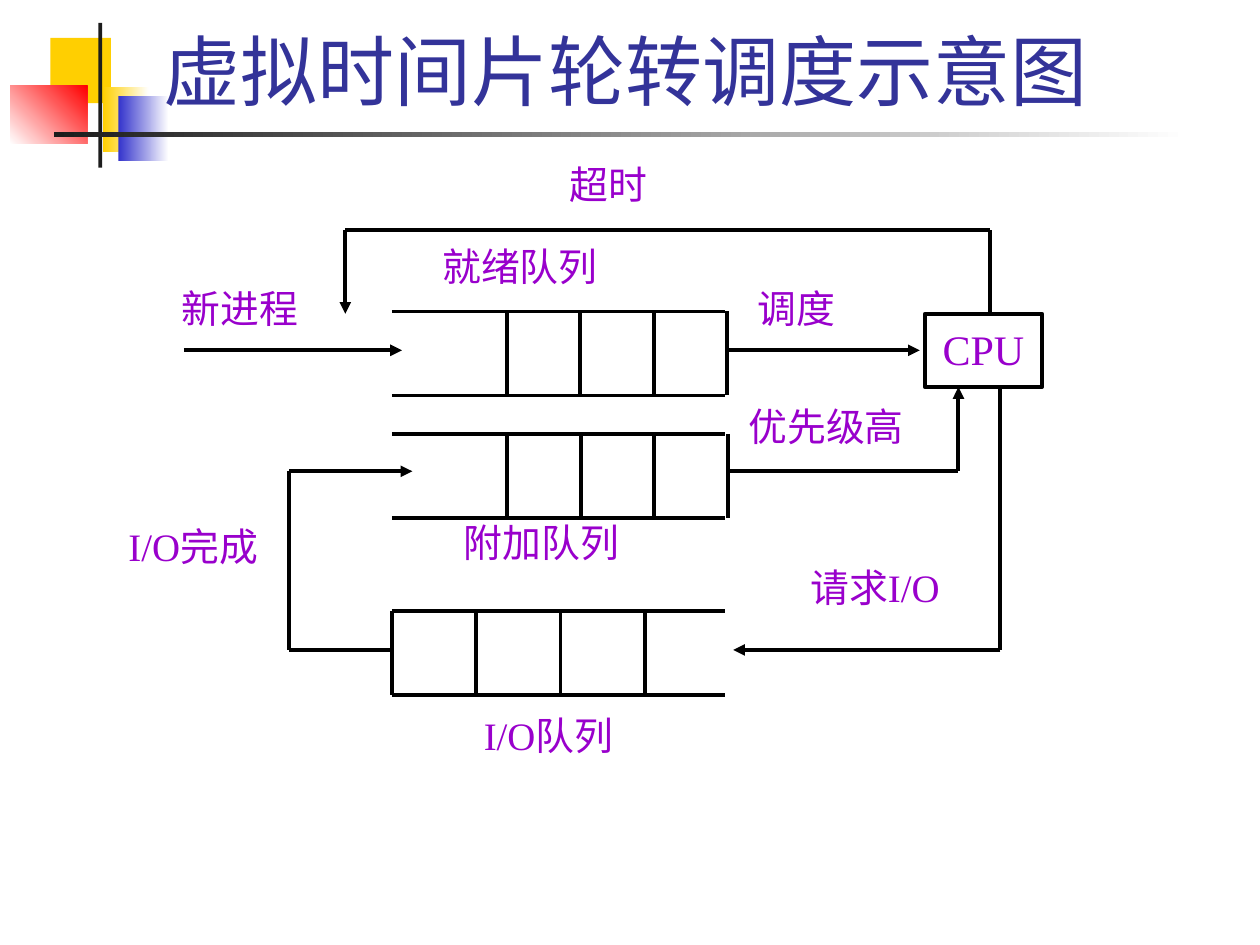
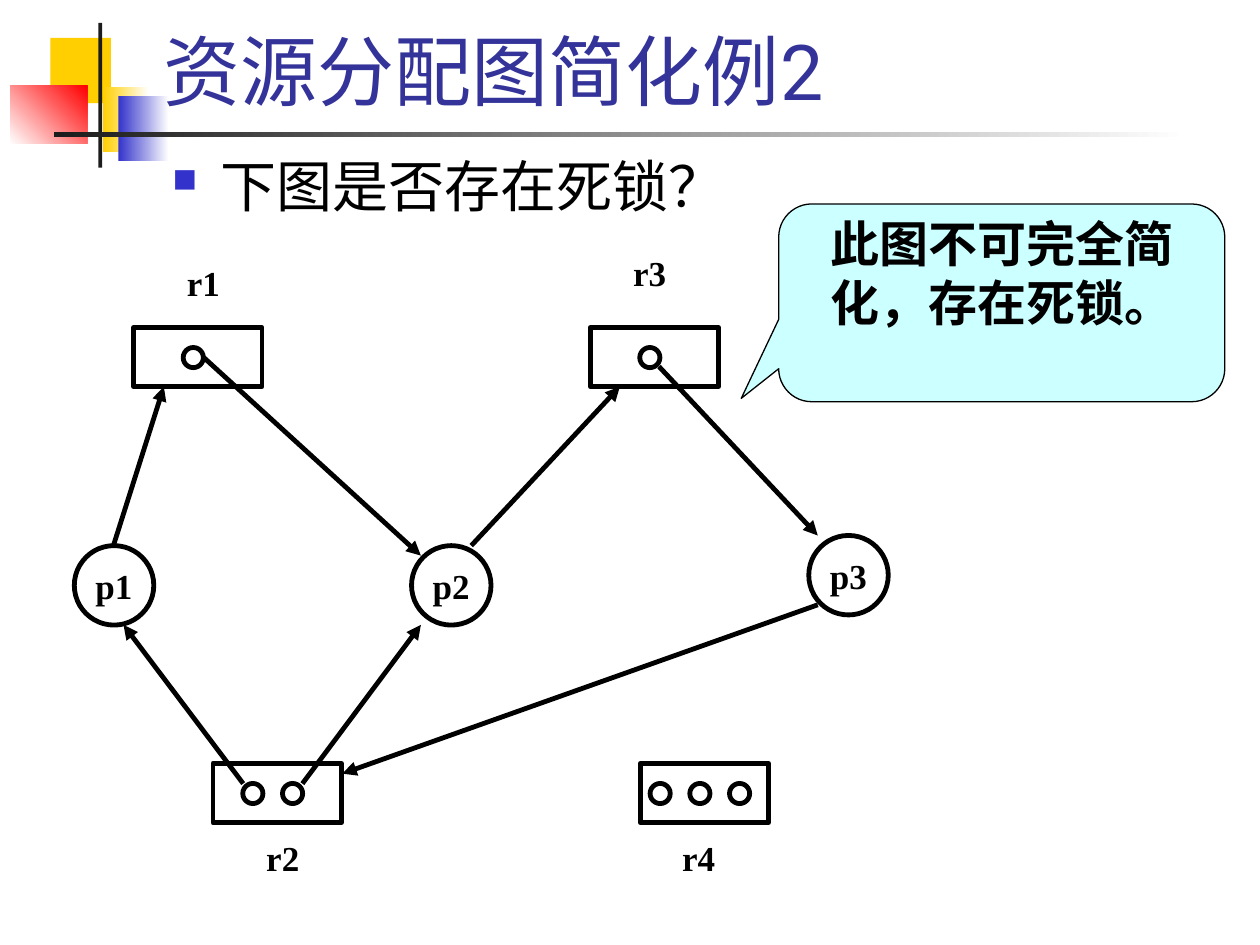
"""Builds two operating-system slides: round-robin queues and a resource graph."""
from pptx import Presentation
from pptx.dml.color import RGBColor
from pptx.enum.shapes import MSO_CONNECTOR, MSO_SHAPE
from pptx.enum.text import MSO_ANCHOR, PP_ALIGN
from pptx.oxml.ns import qn
from pptx.util import Pt
from lxml import etree

COLOURS = {
    "black": "000000", "white": "FFFFFF", "title": "333399", "label": "9900CC",
    "yellow": "FFCF01", "blue": "3333CC", "red": "FF0000", "rule": "1C1C1C",
    "callout": "CCFFFF",
}
HEADING_FONT, DIAGRAM_FONT = "Roboto", "Times New Roman"
STRAIGHT = MSO_CONNECTOR.STRAIGHT
RECTANGLE, OVAL = MSO_SHAPE.RECTANGLE, MSO_SHAPE.OVAL
CALLOUT = MSO_SHAPE.ROUNDED_RECTANGULAR_CALLOUT
TOP, MIDDLE, BOTTOM = MSO_ANCHOR.TOP, MSO_ANCHOR.MIDDLE, MSO_ANCHOR.BOTTOM
LEFT, CENTER, JUSTIFY = PP_ALIGN.LEFT, PP_ALIGN.CENTER, PP_ALIGN.JUSTIFY

QUEUE_LINE, GRAPH_LINE = 2.25, 2.75
QUEUE_LEFT, QUEUE_RIGHT, QUEUE_HEIGHT = 224, 414.2, 48
RESOURCE_WIDTH, RESOURCE_HEIGHT = 73.4, 33.8
TOKEN_SIZE, TOKEN_PITCH = 11.5, 22.7
PROCESS_SIZE = 45.4

DECORATION = [
    ((28.8, 21.6, 34.6, 37.4), ("yellow",), 0),
    ((59, 49.7, 26, 37.4), ("yellow", "white"), 0),
    ((67.7, 54.7, 28.8, 37.4), ("blue", "white"), 0),
    ((5.8, 49, 44, 33.1), ("white", "red"), 45),
    ((56.2, 13, 2.2, 82.8), ("rule",), 0),
    ((31, 75.6, 648, 2.6), ("rule", "white"), 0),
]
QUEUES = [(178, 289.7, 42), (247.9, 289.9, 42), (349.2, 224, 48.15)]
QUEUE_LABELS = [
    ("新进程", 103.7, 165.6), ("就绪队列", 252.7, 141.8), ("调度", 432.7, 165.6),
    ("超时", 325.4, 95), ("优先级高", 427.7, 233.3), ("附加队列", 265, 299.5),
    ("I/O队列", 276.5, 409.7), ("请求I/O", 463, 325.4), ("I/O完成", 73.4, 301.7),
]
QUEUE_ROUTES = [
    [(105.1, 200.2), (229.7, 200.2)],
    [(415.5, 200.2), (525.6, 200.2)],
    [(565.9, 179.3), (565.9, 131.2), (197.3, 131.2), (197.3, 179.3)],
    [(416, 269.3), (547.7, 269.3), (547.7, 221.2)],
    [(571.7, 221.2), (571.7, 371.4), (419, 371.4)],
    [(224, 371.4), (165.3, 371.4), (165.3, 269.3), (235.6, 269.3)],
]
RESOURCES = [
    ("r1", 76.3, 187.2, 1, 116.3, 147.6), ("r2", 121.7, 436.3, 2, 161.6, 476),
    ("r3", 337.2, 187.2, 1, 371.2, 141.8), ("r4", 365.8, 436.3, 3, 399.2, 476),
]
PROCESSES = [("p1", 42.5, 311.8), ("p2", 235.2, 311.8), ("p3", 462.2, 306)]
GRAPH_EDGES = [
    [(172.8, 447.8), (240.5, 357.1)], [(139, 447.8), (70.6, 357.1)],
    [(64.8, 311.8), (93.6, 221)], [(115.9, 203.8), (240.5, 317.5)],
    [(269.3, 311.8), (354.2, 221)], [(376.6, 209.5), (467.3, 306)],
    [(467.3, 345.6), (195.6, 442.1)],
]


def rgb(name):
    """Return the named palette colour."""
    return RGBColor.from_string(COLOURS[name])


def write(shape, text, size, font, colour, bold=False, align=LEFT, anchor=TOP,
          insets=(7.2, 3.6, 7.2, 3.6), wrap=True, spacing=None, bullet=None):
    """Set the single paragraph of a shape."""
    frame = shape.text_frame
    frame.word_wrap, frame.vertical_anchor = wrap, anchor
    (frame.margin_left, frame.margin_top,
     frame.margin_right, frame.margin_bottom) = map(Pt, insets)
    paragraph = frame.paragraphs[0]
    paragraph.alignment = align
    if spacing:
        paragraph.line_spacing = spacing
    if bullet:
        add_bullet(paragraph, *bullet)
    run = paragraph.add_run()
    run.text = text
    run.font.size, run.font.name, run.font.bold = Pt(size), font, bold
    run.font.color.rgb = rgb(colour)


def add_bullet(paragraph, symbol, colour, percent, indent):
    """Give a paragraph a coloured bullet with a hanging indent."""
    properties = paragraph._p.get_or_add_pPr()
    properties.set("marL", str(Pt(indent)))
    properties.set("indent", str(-Pt(indent)))
    tint = etree.SubElement(properties, qn("a:buClr"))
    etree.SubElement(tint, qn("a:srgbClr"), val=COLOURS[colour])
    etree.SubElement(properties, qn("a:buSzPct"), val=str(percent * 1000))
    etree.SubElement(properties, qn("a:buChar"), char=symbol)


def add_text(slide, box, text, size, font, colour, **style):
    """Add a text box at left, top, width, height."""
    write(slide.shapes.add_textbox(*map(Pt, box)), text, size, font, colour, **style)


def add_figure(slide, preset, box, fills=(), angle=0, line=None):
    """Add a preset shape with no, plain or gradient fill."""
    figure = slide.shapes.add_shape(preset, *map(Pt, box))
    figure.shadow.inherit = False
    if len(fills) > 1:
        figure.fill.gradient()
        figure.fill.gradient_angle = angle
        for stop, colour in zip(figure.fill.gradient_stops, fills):
            stop.color.rgb = rgb(colour)
    elif fills:
        figure.fill.solid()
        figure.fill.fore_color.rgb = rgb(fills[0])
    else:
        figure.fill.background()
    if line:
        figure.line.color.rgb = rgb("black")
        figure.line.width = Pt(line)
    else:
        figure.line.fill.background()
    return figure


def add_route(slide, points, width, arrow=True):
    """Join points with straight lines, with an arrowhead at the last."""
    for start, end in zip(points, points[1:]):
        segment = slide.shapes.add_connector(STRAIGHT, *map(Pt, start + end))
        segment.line.color.rgb = rgb("black")
        segment.line.width = Pt(width)
        if arrow and end == points[-1]:
            etree.SubElement(segment.line._get_or_add_ln(), qn("a:tailEnd"),
                             type="triangle")
        etree.SubElement(segment._element.spPr, qn("a:effectLst"))


def add_queue(slide, top, first_divider, pitch):
    """Draw a queue open at one end, with four dividers."""
    bottom = top + QUEUE_HEIGHT
    for y in (top, bottom):
        add_route(slide, [(QUEUE_LEFT, y), (QUEUE_RIGHT, y)], QUEUE_LINE, arrow=False)
    for index in range(4):
        x = first_divider + index * pitch
        add_route(slide, [(x, top), (x, bottom)], QUEUE_LINE, arrow=False)


def add_resource(slide, name, left, top, tokens, label_centre, label_top):
    """Draw a resource box with its centred tokens and its name."""
    add_figure(slide, RECTANGLE, (left, top, RESOURCE_WIDTH, RESOURCE_HEIGHT),
               line=GRAPH_LINE)
    first = left + 28.4 - (tokens - 1) * TOKEN_PITCH / 2
    for index in range(tokens):
        add_figure(slide, OVAL, (first + index * TOKEN_PITCH, top + 11.4,
                                 TOKEN_SIZE, TOKEN_SIZE), line=GRAPH_LINE)
    add_text(slide, (label_centre - 17, label_top, 34, 28), name, 20, DIAGRAM_FONT,
             "black", bold=True, align=CENTER, anchor=MIDDLE, wrap=False)


def add_process(slide, name, left, top):
    """Draw a process circle with its name."""
    circle = add_figure(slide, OVAL, (left, top, PROCESS_SIZE, PROCESS_SIZE),
                        line=GRAPH_LINE)
    write(circle, name, 20, DIAGRAM_FONT, "black", bold=True, align=CENTER,
          anchor=MIDDLE, wrap=False)


def add_titled_slide(deck, title):
    """Add a slide with the shared decoration and title."""
    slide = deck.slides.add_slide(deck.slide_layouts[6])
    for box, fills, angle in DECORATION:
        add_figure(slide, RECTANGLE, box, fills, angle)
    add_text(slide, (86.4, 12.2, 613.4, 57.6), title, 44, HEADING_FONT, "title",
             anchor=BOTTOM)
    return slide


def build_scheduling(deck):
    """Build the virtual round-robin scheduling slide."""
    slide = add_titled_slide(deck, "虚拟时间片轮转调度示意图")
    for queue in QUEUES:
        add_queue(slide, *queue)
    for route in QUEUE_ROUTES:
        add_route(slide, route, QUEUE_LINE)
    cpu = add_figure(slide, RECTANGLE, (528.5, 179.3, 67, 41.8), ("white",),
                     line=QUEUE_LINE)
    write(cpu, "CPU", 24, DIAGRAM_FONT, "label", align=CENTER,
          insets=(4.3, 5.8, 4.3, 3.6))
    for text, left, top in QUEUE_LABELS:
        add_text(slide, (left, top, 103, 28), text, 22.2, DIAGRAM_FONT, "label",
                 align=JUSTIFY, insets=(0, 0, 0, 0), spacing=0.9)


def build_resource_graph(deck):
    """Build the resource allocation graph slide."""
    slide = add_titled_slide(deck, "资源分配图简化例2")
    add_text(slide, (91.4, 82.8, 339, 61.2), "下图是否存在死锁？", 32, HEADING_FONT,
             "black", bullet=("■", "blue", 60, 27.4))
    for resource in RESOURCES:
        add_resource(slide, *resource)
    for process in PROCESSES:
        add_process(slide, *process)
    for edge in GRAPH_EDGES:
        add_route(slide, edge, GRAPH_LINE)
    answer = add_figure(slide, CALLOUT, (445, 116.6, 254.9, 113), ("callout",), line=0.75)
    for index, value in enumerate((-0.584, 0.483, 0.167)):
        answer.adjustments[index] = value
    write(answer, "此图不可完全简化，存在死锁。", 28, HEADING_FONT, "black", bold=True,
          align=CENTER, insets=(16, 0, 16, 0))


def main():
    """Build and save the deck."""
    deck = Presentation()
    deck.slide_width, deck.slide_height = Pt(720), Pt(540)
    build_scheduling(deck)
    build_resource_graph(deck)
    deck.save("out.pptx")


if __name__ == "__main__":
    main()
